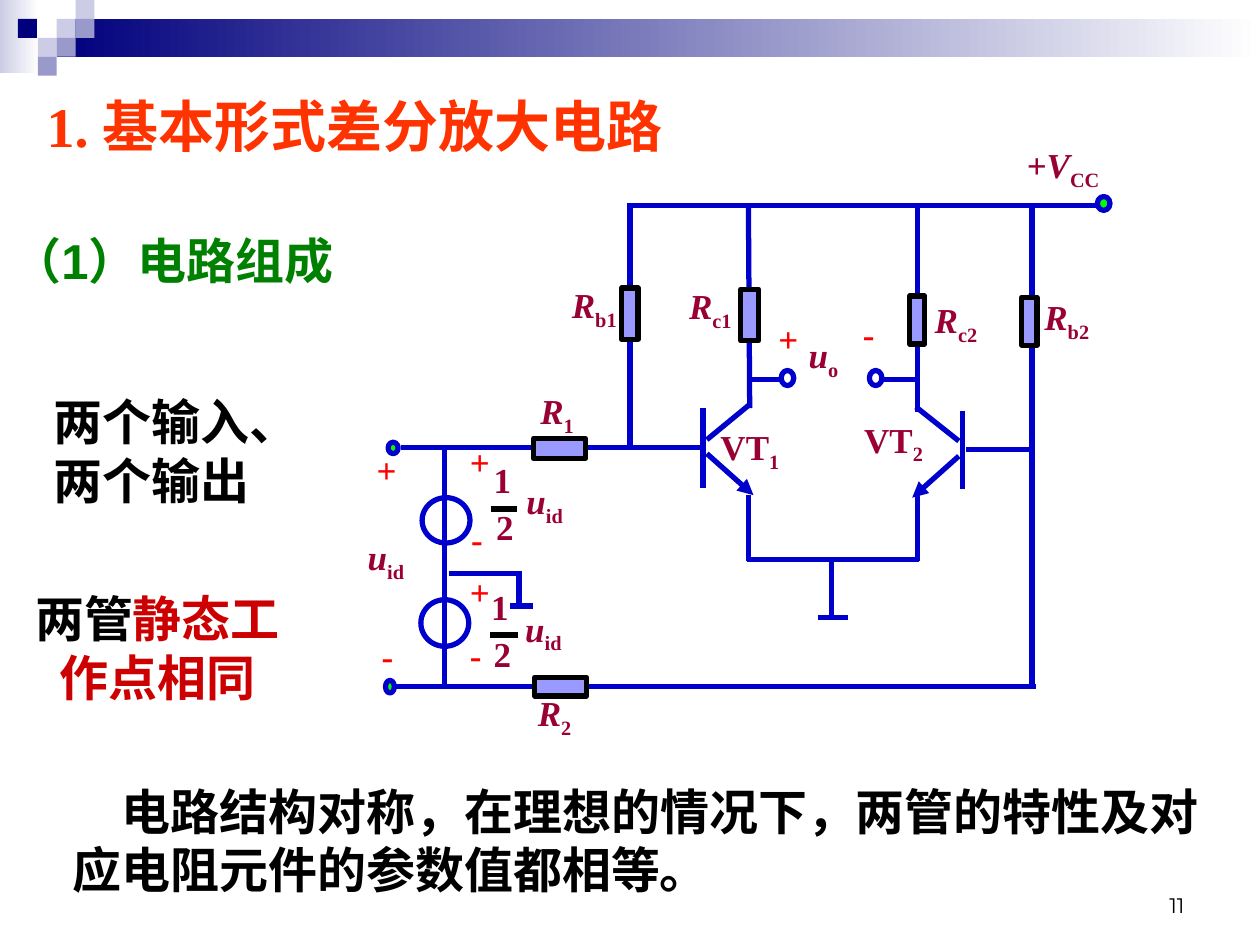
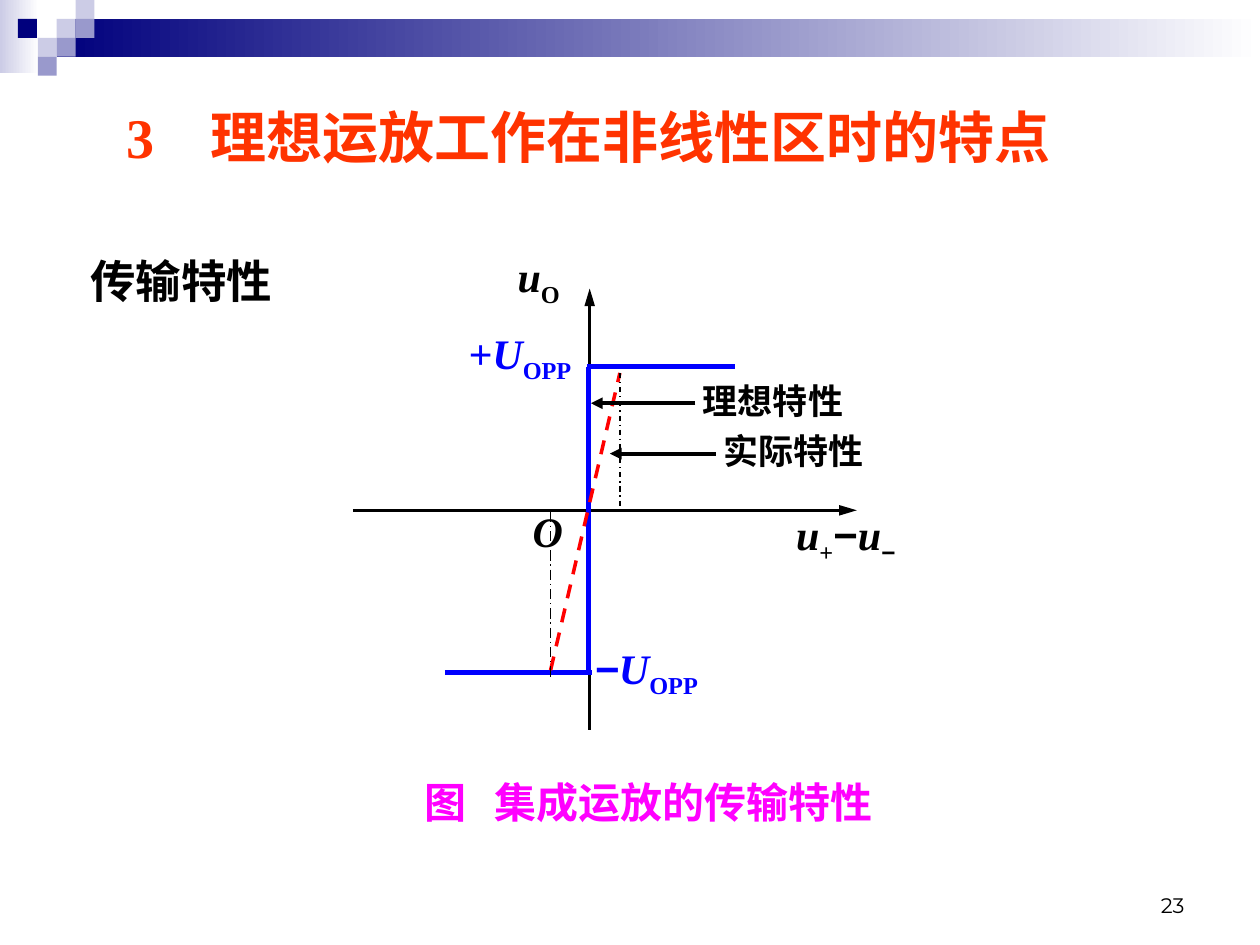
from lxml import etree
from pptx import Presentation
from pptx.dml.color import RGBColor
from pptx.enum.dml import MSO_LINE
from pptx.enum.shapes import MSO_CONNECTOR, MSO_SHAPE
from pptx.enum.text import MSO_ANCHOR, MSO_AUTO_SIZE, PP_ALIGN
from pptx.oxml.ns import qn
from pptx.util import Inches, Pt

STRAIGHT = MSO_CONNECTOR.STRAIGHT
RECT, OVAL = MSO_SHAPE.RECTANGLE, MSO_SHAPE.OVAL
DASH, DASH_DOT, LONG_DASH_DOT = MSO_LINE.DASH, MSO_LINE.DASH_DOT, MSO_LINE.LONG_DASH_DOT
TOP, BOTTOM = MSO_ANCHOR.TOP, MSO_ANCHOR.BOTTOM
LEFT, CENTER, RIGHT = PP_ALIGN.LEFT, PP_ALIGN.CENTER, PP_ALIGN.RIGHT
NO_AUTOFIT = MSO_AUTO_SIZE.NONE

BLACK = RGBColor(0x00, 0x00, 0x00)
WHITE = RGBColor(0xFF, 0xFF, 0xFF)
NAVY = RGBColor(0x00, 0x00, 0x7D)
LAVENDER = RGBColor(0xCC, 0xCC, 0xE6)
PERIWINKLE = RGBColor(0x99, 0x99, 0xCC)
WIRE = RGBColor(0x00, 0x00, 0xCC)
RESISTOR = RGBColor(0x99, 0x99, 0xFF)
TERMINAL = RGBColor(0x00, 0xFF, 0x00)
SYMBOL = RGBColor(0x99, 0x00, 0x33)
ORANGE = RGBColor(0xFF, 0x33, 0x00)
RED = RGBColor(0xFF, 0x00, 0x00)
DARK_RED = RGBColor(0xCC, 0x00, 0x00)
GREEN = RGBColor(0x00, 0x80, 0x00)
BLUE = RGBColor(0x00, 0x00, 0xFF)
MAGENTA = RGBColor(0xFF, 0x00, 0xFF)

SERIF, SANS, NUMBER_FONT = "Times New Roman", "Arial", "Montserrat"
TITLE_ONLY = 5
TILE = 0.15
ITALIC = {"italic": True}
SUB = {"sub": True}


class Deck:
    def __init__(self):
        self.prs = Presentation()
        self.prs.slide_width, self.prs.slide_height = Inches(10), Inches(7.5)
        self.slide = None

    def new_slide(self, title, title_box, number):
        self.slide = self.prs.slides.add_slide(self.prs.slide_layouts[TITLE_ONLY])
        self.header_band()
        heading = self.slide.shapes.title
        heading.left, heading.top, heading.width, heading.height = map(Inches, title_box)
        self.fill_text(heading.text_frame, [(title, {})], 32, ORANGE)
        self.text((7.17, 6.83, 2.33, 0.5), [(number, {"font": NUMBER_FONT, "bold": False})],
                  12, align=RIGHT, anchor=BOTTOM)

    def header_band(self):
        self.gradient((0, 0, 0.31, 0.58), LAVENDER)
        self.gradient((0.45, 0.15, 9.55, 0.3), NAVY)
        tiles = [(3, 1, LAVENDER), (4, 0, LAVENDER), (4, 1, PERIWINKLE), (2, 2, LAVENDER),
                 (0.95, 1, NAVY), (3, 2, PERIWINKLE), (2, 3, PERIWINKLE)]
        for column, row, color in tiles:
            self.shape(RECT, (column * TILE, row * TILE, TILE, TILE), color)

    def gradient(self, box, start):
        """Bar that fades from start to white, left to right."""
        fill = self.shape(RECT, box, start).fill
        fill.gradient()
        fill.gradient_angle = 0
        for stop, color, position in zip(fill.gradient_stops, (start, WHITE), (0, 1)):
            stop.color.rgb, stop.position = color, position

    def shape(self, kind, box, fill=None, line=None, width=3):
        shape = self.slide.shapes.add_shape(kind, *map(Inches, box))
        shape.shadow.inherit = False
        if fill is None:
            shape.fill.background()
        else:
            shape.fill.solid()
            shape.fill.fore_color.rgb = fill
        if line is None:
            shape.line.fill.background()
        else:
            shape.line.color.rgb = line
            shape.line.width = Pt(width)
        return shape

    def line(self, start, end, color=WIRE, width=3, dash=None, head=None):
        """Straight line; head is the length of an arrowhead at its end."""
        line = self.slide.shapes.add_connector(STRAIGHT, *map(Inches, (*start, *end)))
        line.line.color.rgb = color
        line.line.width = Pt(width)
        if dash is not None:
            line.line.dash_style = dash
        properties = line._element.spPr
        if head:
            etree.SubElement(properties.find(qn("a:ln")), qn("a:tailEnd"),
                             type="triangle", w="med", len=head)
        etree.SubElement(properties, qn("a:effectLst"))

    def text(self, box, runs, size, color=BLACK, align=LEFT, anchor=TOP):
        frame = self.slide.shapes.add_textbox(*map(Inches, box)).text_frame
        return self.fill_text(frame, runs, size, color, align, anchor)

    def fill_text(self, frame, runs, size, color, align=LEFT, anchor=TOP):
        frame.word_wrap = True
        frame.auto_size = NO_AUTOFIT
        frame.vertical_anchor = anchor
        paragraph = frame.paragraphs[0]
        paragraph.alignment = align
        for words, style in runs:
            run = paragraph.add_run()
            run.text = words
            font = run.font
            font.size = Pt(size)
            font.name = style.get("font", SERIF)
            font.bold = style.get("bold", True)
            font.italic = style.get("italic", False)
            font.color.rgb = style.get("color", color)
            if style.get("sub"):
                run._r.get_or_add_rPr().set("baseline", "-25000")
        return paragraph

    def resistor(self, center, width, height):
        x, y = center
        self.shape(RECT, (x - width / 2, y - height / 2, width, height), RESISTOR, BLACK)

    def symbol(self, at, width, base, subscript="", italic=True):
        runs = [(base, {"italic": italic})]
        if subscript:
            runs.append((subscript, SUB))
        self.text((*at, width, 0.43), runs, 20, SYMBOL)

    def sign(self, at, polarity):
        self.text((*at, 0.41, 0.43), [(polarity, {})], 20, RED)


def circuit(deck):
    wires = [
        ((3.14, 5.45), (8.22, 5.45)), ((8.19, 1.63), (8.19, 5.47)),
        ((5, 1.63), (5, 3.57)), ((5.94, 1.63), (5.95, 3.24)), ((7.28, 1.63), (7.28, 3.27)),
        ((5.58, 3.24), (5.58, 3.87)), ((5.61, 3.49), (5.95, 3.21)),
        ((7.64, 3.26), (7.64, 3.88)), ((7.61, 3.5), (7.27, 3.23)),
        ((5.94, 3.93), (5.94, 4.45)), ((7.28, 3.93), (7.28, 4.45)),
        ((5.93, 4.44), (7.29, 4.44)), ((5.96, 3.01), (6.21, 3.01)),
        ((7.28, 3.01), (7, 3.01)), ((7.67, 3.57), (8.21, 3.57)),
        ((6.6, 4.46), (6.6, 4.9)), ((6.49, 4.9), (6.73, 4.9)),
        ((3.18, 3.55), (5.59, 3.55)), ((4.98, 1.63), (8.73, 1.63)),
        ((3.53, 3.57), (3.53, 5.43)), ((3.56, 4.55), (4.12, 4.55)),
        ((4.12, 4.53), (4.12, 4.81)), ((4.05, 4.81), (4.23, 4.81)),
    ]
    for start, end in wires:
        deck.line(start, end)
    for base, emitter in [((5.61, 3.6), (5.98, 3.93)), ((7.61, 3.62), (7.24, 3.95))]:
        deck.line(base, emitter, head="med")

    for center, width, height in [
            ((5.95, 2.5), 0.14, 0.41), ((7.28, 2.54), 0.12, 0.38), ((5, 2.49), 0.13, 0.41),
            ((8.17, 2.55), 0.12, 0.38), ((4.44, 3.56), 0.41, 0.16), ((4.45, 5.45), 0.41, 0.15)]:
        deck.resistor(center, width, height)

    output_terminals = [(6.2, 2.94, 0.1, 0.12), (6.9, 2.94, 0.1, 0.12)]
    sources = [(3.34, 4.76, 0.38, 0.37), (3.35, 3.95, 0.38, 0.36)]
    for box in output_terminals + sources:
        deck.shape(OVAL, box, line=WIRE)
    for box in [(3.08, 3.51, 0.08, 0.09), (3.06, 5.4, 0.07, 0.1), (8.71, 1.56, 0.1, 0.11)]:
        deck.shape(OVAL, box, TERMINAL, WIRE)

    signs = {"+": [(6.08, 2.47), (3.63, 4.48), (2.89, 3.51), (3.63, 3.45)],
             "-": [(6.75, 2.43), (3.63, 4.98), (2.93, 4.99), (3.64, 4.06)]}
    for polarity, places in signs.items():
        for at in places:
            deck.sign(at, polarity)

    for at, width, base, subscript in [
            ((6.32, 2.6), 0.57, "u", "o"), ((2.82, 4.2), 0.61, "u", "id"),
            ((4.08, 3.76), 0.61, "u", "id"), ((4.07, 4.77), 0.61, "u", "id"),
            ((8.05, 1.09), 1.07, "+V", "CC"),
            ((4.17, 5.44), 0.73, "R", "2"), ((4.19, 3.04), 0.6, "R", "1"),
            ((4.44, 2.2), 0.77, "R", "b1"), ((8.19, 2.3), 0.76, "R", "b2"),
            ((5.37, 2.21), 0.79, "R", "c1"), ((7.32, 2.32), 0.77, "R", "c2")]:
        deck.symbol(at, width, base, subscript)
    deck.symbol((5.62, 3.33), 0.87, "VT", "1", italic=False)
    deck.symbol((6.76, 3.27), 0.91, "VT", "2", italic=False)

    for left, top, bar_left, bar_right, bar_y in [
            (3.82, 3.59, 3.9, 4.1, 4.04), (3.8, 4.6, 3.89, 4.11, 5.04)]:
        deck.symbol((left, top), 0.46, "1", italic=False)
        deck.symbol((left + 0.02, top + 0.37), 0.46, "2", italic=False)
        deck.line((bar_left, bar_y), (bar_right, bar_y), BLACK)


def differential_amplifier(deck):
    deck.new_slide("1. 基本形式差分放大电路", (0.27, 0.68, 5.69, 0.64), "11")
    circuit(deck)
    summary = deck.text((0.48, 6.15, 9.33, 1.03),
                        [("电路结构对称，在理想的情况下，两管的特性及对应电阻元件的参数值都相等。", {})], 28)
    summary._p.get_or_add_pPr().set("indent", str(Inches(0.39)))
    deck.text((0.33, 3.06, 2.5, 1.03), [("两个输入、两个输出", {})], 28)
    deck.text((0, 4.62, 2.5, 1.03),
              [("两管", {}), ("静态工作点相同", {"color": DARK_RED})], 28, align=CENTER)
    deck.text((0, 1.78, 4, 0.75), [("（1）电路组成", {"font": SANS})], 28, GREEN)


def transfer_characteristic(deck):
    deck.new_slide("3　理想运放工作在非线性区时的特点", (0.9, 0.76, 8.5, 0.63), "23")
    deck.text((0.62, 1.96, 2.17, 0.53), [("传输特性", {})], 26)

    deck.line((2.8, 4.05), (6.8, 4.05), BLACK, 2, head="lg")
    deck.line((4.68, 5.79), (4.68, 2.29), BLACK, 2, head="lg")
    deck.text((4.01, 1.94, 0.83, 0.5), [("u", ITALIC), ("O", SUB)], 24)
    deck.text((6.22, 3.99, 1.31, 0.5),
              [("u", ITALIC), ("+", SUB), ("−", {"font": SANS}),
               ("u", ITALIC), ("−", {"font": SANS, **SUB})], 24)
    deck.text((4.13, 3.96, 0.83, 0.5), [("O", ITALIC)], 24)

    for start, end in [((3.53, 5.34), (4.7, 5.34)), ((4.66, 2.91), (5.83, 2.91)),
                       ((4.67, 2.91), (4.67, 5.32))]:
        deck.line(start, end, BLUE)
    deck.text((3.62, 2.55, 1.17, 0.5), [("+U", ITALIC), ("OPP", SUB)], 24, BLUE)
    deck.text((4.62, 5.05, 1.17, 0.5),
              [("−", {"font": SANS, **ITALIC}), ("U", ITALIC), ("OPP", SUB)], 24, BLUE)

    deck.line((4.37, 5.32), (4.92, 2.96), RED, 2, DASH)
    deck.line((4.92, 2.96), (4.92, 4.06), BLACK, 0.75, DASH_DOT)
    deck.line((4.37, 4.06), (4.37, 5.4), BLACK, 0.75, LONG_DASH_DOT)
    for name, left, y, tip in [("理想特性", 5.48, 3.2, 4.69), ("实际特性", 5.64, 3.6, 4.84)]:
        deck.text((left, y - 0.24, 1.42, 0.43), [(name, {})], 20)
        deck.line((left + 0.04, y), (tip, y), BLACK, 2.25, head="med")

    caption = deck.text((3.27, 6.11, 3.88, 0.5), [("图\t集成运放的传输特性", {})], 24, MAGENTA)
    tabs = etree.SubElement(caption._p.get_or_add_pPr(), qn("a:tabLst"))
    etree.SubElement(tabs, qn("a:tab"), pos=str(Inches(0.56)), algn="l")


def main():
    deck = Deck()
    differential_amplifier(deck)
    transfer_characteristic(deck)
    deck.prs.save("out.pptx")


if __name__ == "__main__":
    main()
